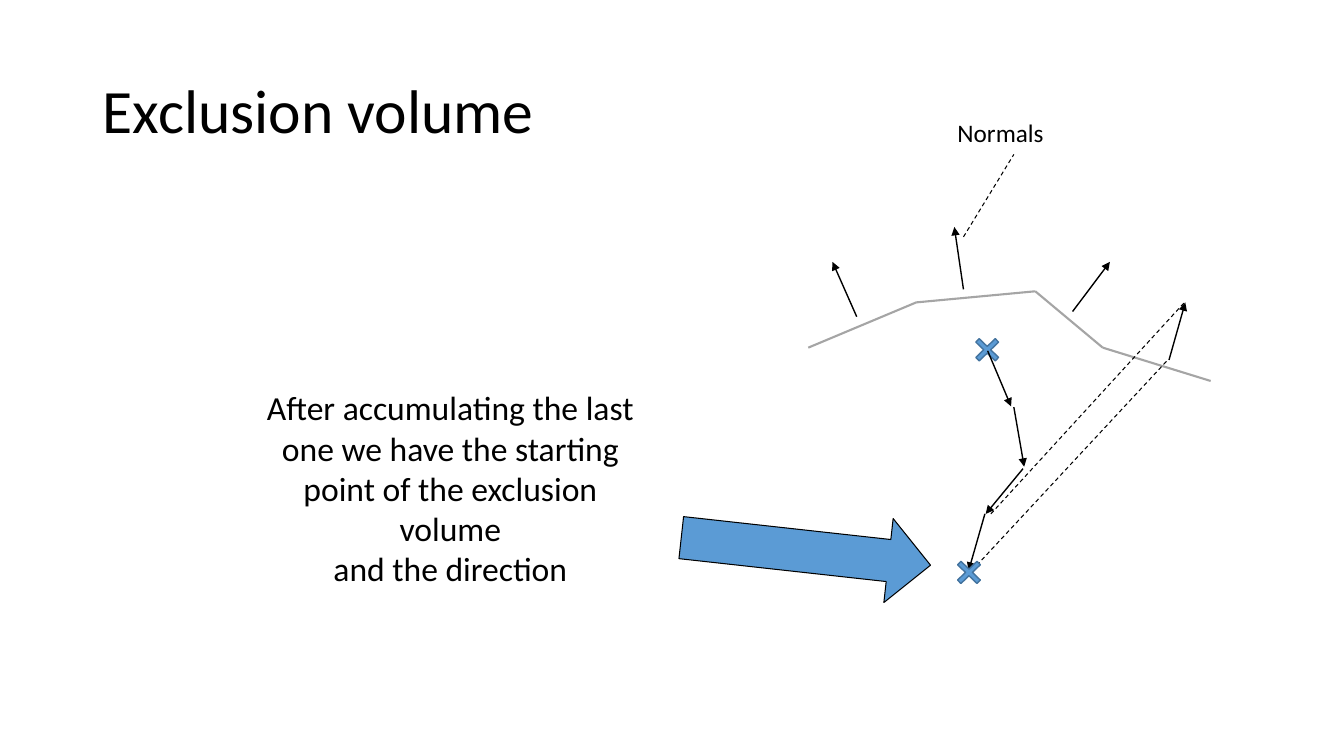
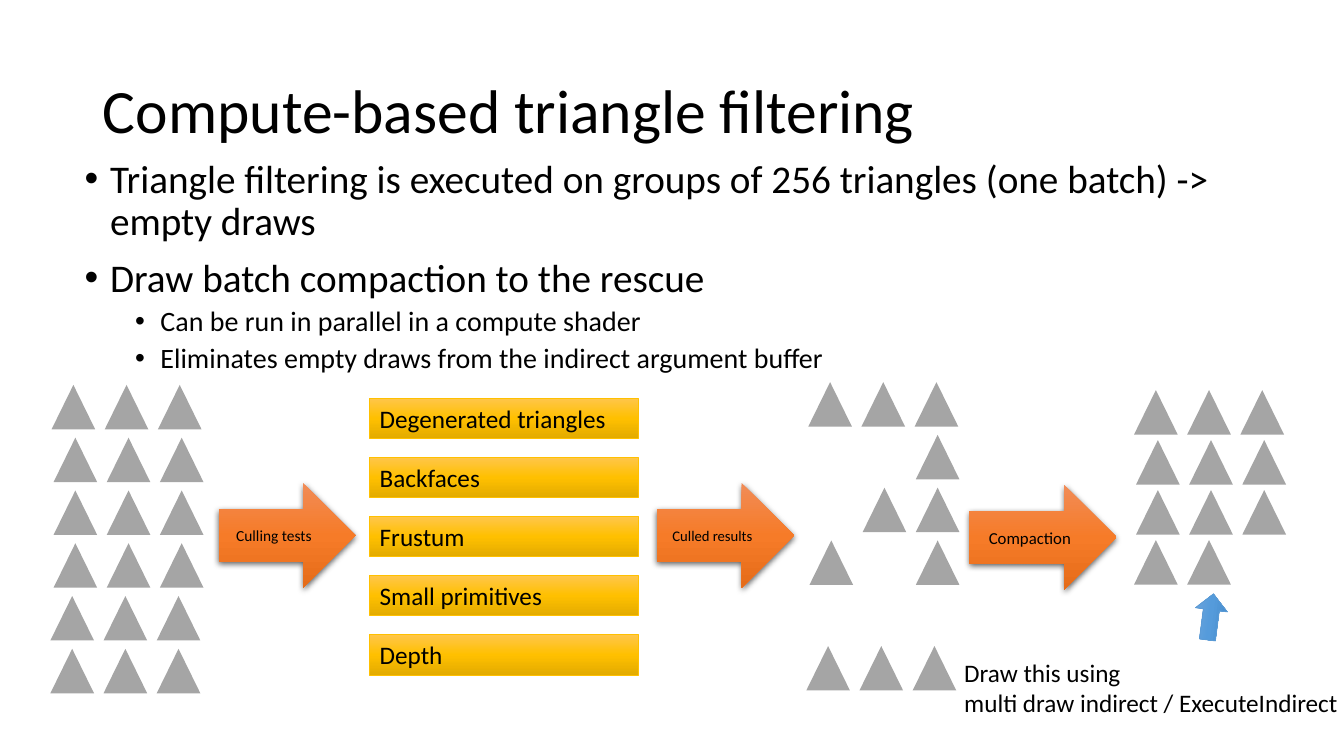
from copy import deepcopy

from lxml import etree
from pptx import Presentation
from pptx.dml.color import RGBColor
from pptx.enum.dml import MSO_LINE
from pptx.enum.shapes import MSO_CONNECTOR, MSO_SHAPE
from pptx.enum.text import MSO_ANCHOR, MSO_AUTO_SIZE, PP_ALIGN
from pptx.oxml.ns import qn
from pptx.util import Cm, Pt

DASH = MSO_LINE.DASH
STRAIGHT = MSO_CONNECTOR.STRAIGHT
ARROW, CROSS = MSO_SHAPE.RIGHT_ARROW, MSO_SHAPE.MATH_MULTIPLY
RECTANGLE, TRIANGLE = MSO_SHAPE.RECTANGLE, MSO_SHAPE.ISOSCELES_TRIANGLE
TOP, MIDDLE = MSO_ANCHOR.TOP, MSO_ANCHOR.MIDDLE
NO_FIT = MSO_AUTO_SIZE.NONE
LEFT, CENTER = PP_ALIGN.LEFT, PP_ALIGN.CENTER

FONT = "Calibri"
BLACK = RGBColor(0x00, 0x00, 0x00)
GRAY = RGBColor(0xA5, 0xA5, 0xA5)
BLUE = RGBColor(0x5B, 0x9B, 0xD5)
DARK_BLUE = RGBColor(0x43, 0x73, 0x9E)
GOLD = RGBColor(0xFF, 0xC0, 0x00)
GOLD_BLEND = (RGBColor(0xFF, 0xC6, 0x4B), GOLD, RGBColor(0xE3, 0xAB, 0x00))
ORANGE_BLEND = (RGBColor(0xF1, 0x8C, 0x57), RGBColor(0xF6, 0x7B, 0x28), RGBColor(0xE5, 0x6C, 0x19))
BLUE_BLEND = (RGBColor(0x71, 0xA6, 0xDB), RGBColor(0x55, 0x9B, 0xDB), RGBColor(0x44, 0x8A, 0xCA))


def add_figure(page, preset, place, fill, line=None, width=0.5):
    """Add a preset shape; a tuple of three colours as fill gives a downward gradient."""
    shape = page.shapes.add_shape(preset, *map(Cm, place))
    shape.shadow.inherit = False
    if isinstance(fill, RGBColor):
        shape.fill.solid()
        shape.fill.fore_color.rgb = fill
    else:
        shape.fill.gradient()
        shape.fill.gradient_angle = 270
        stop_list = shape.element.spPr.find(".//" + qn("a:gsLst"))
        stop_list.insert(1, deepcopy(stop_list[0]))
        for stop, position, color in zip(shape.fill.gradient_stops, (0, 0.5, 1), fill):
            stop.position = position
            stop.color.rgb = color
    if line is None:
        shape.line.fill.background()
    else:
        shape.line.color.rgb = line
        shape.line.width = Pt(width)
    return shape


def write(para, text, size, align=LEFT):
    """Fill a paragraph, one run for each line of the text."""
    para.alignment = align
    for number, line in enumerate(text.split("\n")):
        if number:
            para.add_line_break()
        span = para.add_run()
        span.text = line
        span.font.name = FONT
        span.font.size = Pt(size)
        span.font.color.rgb = BLACK


deck = Presentation()
deck.slide_width, deck.slide_height = Cm(33.87), Cm(19.05)
content_layout, title_layout = deck.slide_layouts[1], deck.slide_layouts[5]
volume_page = deck.slides.add_slide(title_layout)
filter_page = deck.slides.add_slide(content_layout)

for page, heading in (
    (volume_page, "Exclusion volume"),
    (filter_page, "Compute-based triangle filtering"),
):
    title = page.shapes.title
    title.left, title.top, title.width, title.height = map(Cm, (2.34, 1.02, 29.21, 3.68))
    title.text_frame.vertical_anchor = MIDDLE
    title.text_frame.auto_size = NO_FIT
    para = title.text_frame.paragraphs[0]
    para.line_spacing = 0.9
    write(para, heading, 44)

# Exclusion volume: surface, normals and the path they add up to
surface = [(20.37, 8.76), (23.09, 7.62), (26.09, 7.34), (27.79, 8.76), (30.51, 9.6)]
normals = [
    ((21.59, 7.98), (20.98, 6.6)),
    ((24.28, 7.29), (24.05, 5.72)),
    ((27.03, 7.85), (27.97, 6.6)),
    ((29.46, 9.07), (29.87, 7.62)),
]
steps = [
    ((24.89, 8.84), (25.48, 10.24)),
    ((25.55, 10.26), (25.81, 11.76)),
    ((25.78, 11.81), (24.84, 12.95)),
    ((24.82, 12.95), (24.41, 14.38)),
]
guides = [
    ((24.28, 5.97), (25.55, 3.89)),
    ((24.97, 12.95), (29.85, 7.62)),
    ((24.49, 14.38), (29.41, 9.09)),
]
start_cross = add_figure(volume_page, CROSS, (24.41, 8.36, 0.94, 0.91), BLUE, DARK_BLUE, 1)
for segments, color, width, dashed, pointed in (
    (zip(surface, surface[1:]), GRAY, 1.5, False, False),
    (guides, BLACK, 0.75, True, False),
    (normals + steps, BLACK, 1, False, True),
):
    for start, end in segments:
        connector = volume_page.shapes.add_connector(STRAIGHT, *map(Cm, start + end))
        connector.line.color.rgb = color
        connector.line.width = Pt(width)
        if dashed:
            connector.line.dash_style = DASH
        properties = connector.element.spPr
        if pointed:
            etree.SubElement(properties.find(qn("a:ln")), qn("a:tailEnd"), type="triangle")
        etree.SubElement(properties, qn("a:effectLst"))
end_cross = add_figure(volume_page, CROSS, (23.95, 13.97, 0.94, 0.91), BLUE, DARK_BLUE, 1)
for cross in (start_cross, end_cross):
    cross.adjustments[0] = 0.133
pointer = add_figure(volume_page, ARROW, (17.15, 12.83, 6.32, 2.13), BLUE, BLACK, 0.75)
pointer.rotation = 6.3

# Triangle filtering: batches before culling, after culling and after compaction
for top, row_pitch, rows in (
    (9.7, 1.33, ((1.3, "▲▲▲"), (1.35, "▲▲▲"), (1.35, "▲▲▲"),
                 (1.35, "▲▲▲"), (1.27, "▲▲▲"), (1.27, "▲▲▲"))),
    (9.63, 1.33, ((20.37, "▲▲▲"), (20.4, "--▲"), (20.4, "-▲▲"),
                  (20.4, "▲-▲"), (20.4, "---"), (20.32, "▲▲▲"))),
    (9.83, 1.26, ((28.58, "▲▲▲"), (28.63, "▲▲▲"), (28.63, "▲▲▲"), (28.58, "▲▲-"))),
):
    for row, (left, pattern) in enumerate(rows):
        for column, mark in enumerate(pattern):
            if mark == "▲":
                place = (left + column * 1.34, top + row * row_pitch, 1.1, 1.12)
                add_figure(filter_page, TRIANGLE, place, GRAY)

tests = ("Degenerated triangles", "Backfaces", "Frustum", "Small primitives", "Depth")
for number, test in enumerate(tests):
    place = (9.32, 10.03 + number * 1.49, 6.76, 1.02)
    box = add_figure(filter_page, RECTANGLE, place, GOLD_BLEND, GOLD)
    box.text_frame.vertical_anchor = TOP
    write(box.text_frame.paragraphs[0], test, 18)

for place, stage, size in (
    ((5.51, 12.17, 3.45, 2.64), "Culling tests", 11),
    ((16.56, 12.17, 3.45, 2.64), "Culled results", 10.5),
    ((24.43, 12.22, 3.71, 2.64), "Compaction", 12),
):
    arrow = add_figure(filter_page, ARROW, place, ORANGE_BLEND)
    write(arrow.text_frame.paragraphs[0], stage, size, CENTER)
    effects = arrow.element.spPr.find(qn("a:effectLst"))
    shadow = etree.SubElement(effects, qn("a:outerShdw"), blurRad=str(Pt(4.5)),
                              dist=str(Pt(1.5)), dir="5400000", rotWithShape="0")
    shade = etree.SubElement(shadow, qn("a:srgbClr"), val=str(BLACK))
    etree.SubElement(shade, qn("a:alpha"), val="63000")

draw_arrow = add_figure(filter_page, ARROW, (29.92, 15.14, 1.17, 0.81), BLUE_BLEND, BLUE)
draw_arrow.rotation = 277.5

body = filter_page.placeholders[1]
body.left, body.top, body.width, body.height = map(Cm, (1.88, 3.89, 29.21, 12.09))
body.text_frame.auto_size = NO_FIT
for number, (level, text) in enumerate((
    (0, "Triangle filtering is executed on groups of 256 triangles (one batch) -> empty draws"),
    (0, "Draw batch compaction to the rescue"),
    (1, "Can be run in parallel in a compute shader"),
    (1, "Eliminates empty draws from the indirect argument buffer"),
)):
    para = body.text_frame.add_paragraph() if number else body.text_frame.paragraphs[0]
    para.level = level
    properties = para._p.get_or_add_pPr()
    properties.set("marL", str(Cm(0.64 + level * 1.27)))
    properties.set("indent", str(Cm(-0.64)))
    etree.SubElement(properties, qn("a:buFont"), typeface="Arial")
    etree.SubElement(properties, qn("a:buChar"), char="•")
    para.line_spacing = 0.9
    para.space_before = Pt((5 if level else 10) if number else 0)
    write(para, text, 20 if level else 28)

# Free text on both slides
explanation = ("After accumulating the last one we have the starting point of the "
               "exclusion volume\nand the direction")
for page, place, text, size, align, wrap in (
    (volume_page, (23.88, 2.84, 3.35, 1.02), "Normals", 18, LEFT, True),
    (volume_page, (6.32, 9.63, 10.06, 5.38), explanation, 24, CENTER, True),
    (filter_page, (24.05, 16.43, 10.03, 1.8),
     "Draw this using\nmulti draw indirect / ExecuteIndirect", 18, LEFT, False),
):
    box = page.shapes.add_textbox(*map(Cm, place))
    box.text_frame.word_wrap = wrap
    write(box.text_frame.paragraphs[0], text, size, align)

deck.save("out.pptx")
